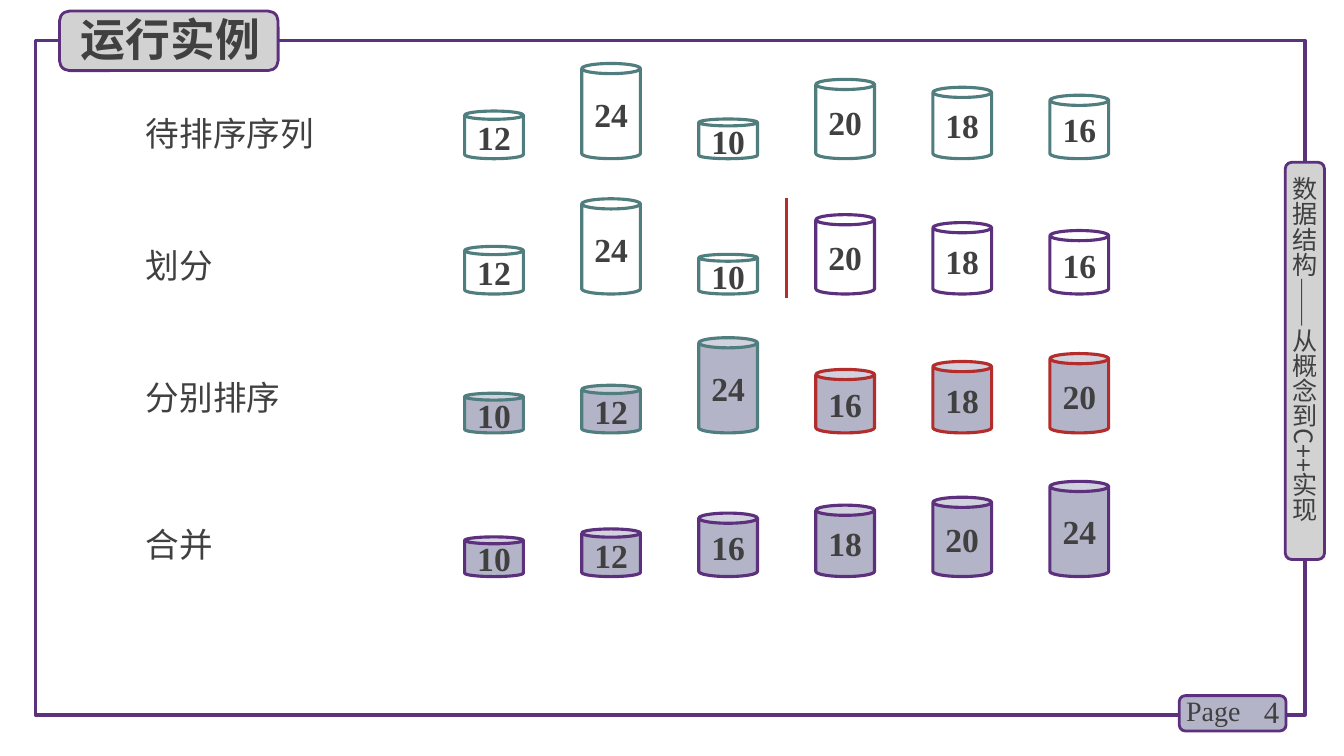
from dataclasses import dataclass

import pptx
import pptx.dml.color
import pptx.enum.shapes
import pptx.enum.text
import pptx.oxml.ns
import pptx.shapes.autoshape
import pptx.slide
import pptx.text.text
import pptx.util
from lxml import etree
from pptx.util import Cm

SHAPE = pptx.enum.shapes.MSO_SHAPE
ALIGN = pptx.enum.text.PP_ALIGN
ANCHOR = pptx.enum.text.MSO_ANCHOR


@dataclass(frozen=True)
class Theme:
    text: str = "404040"
    frame: str = "5A327D"
    purple: str = "5C307D"
    teal: str = "507D7D"
    red: str = "B42D2D"
    gray: str = "D2D2D2"
    lavender: str = "B4B4C8"
    chinese: str = "Noto Sans CJK SC"
    latin: str = "Times New Roman"
    title_size: int = 32
    body_size: int = 24
    number_size: int = 22
    page_size: int = 20
    side_size: int = 18
    line_width: float = 2.25
    badge_line_width: float = 2


THEME = Theme()


@dataclass(frozen=True)
class Box:
    """Position and size in centimetres."""
    left: float
    top: float
    width: float
    height: float

    def lengths(self) -> tuple[int, int, int, int]:
        return Cm(self.left), Cm(self.top), Cm(self.width), Cm(self.height)


@dataclass(frozen=True)
class SortStage:
    label: str
    label_top: float
    base: float
    values: tuple[int, ...]
    left_half: str
    right_half: str
    fill: str | None = None


STAGES = (
    SortStage("待排序序列", 2.72, 4.0, (12, 24, 10, 20, 18, 16), THEME.teal, THEME.teal),
    SortStage("划分", 6.05, 7.41, (12, 24, 10, 20, 18, 16), THEME.teal, THEME.purple),
    SortStage("分别排序", 9.37, 10.91, (10, 12, 24, 16, 18, 20), THEME.teal, THEME.red,
              THEME.lavender),
    SortStage("合并", 13.08, 14.53, (10, 12, 16, 18, 20, 24), THEME.purple, THEME.purple,
              THEME.lavender),
)

LABEL_LEFT, LABEL_WIDTH, LABEL_HEIGHT = 3.43, 5.16, 1.27
FIRST_CAN, CAN_PITCH, CAN_WIDTH = 11.71, 2.95, 1.48
CM_PER_UNIT = 0.1
HALF = 3


def rgb(color: str) -> pptx.dml.color.RGBColor:
    return pptx.dml.color.RGBColor.from_string(color)


def write(frame: pptx.text.text.TextFrame, text: str, size: int, font_name: str,
          bold: bool = False, align: ALIGN = ALIGN.LEFT,
          anchor: ANCHOR = ANCHOR.TOP, wrap: bool = True) -> None:
    frame.text = text
    frame.word_wrap = wrap
    frame.vertical_anchor = anchor
    paragraph = frame.paragraphs[0]
    paragraph.alignment = align
    font = paragraph.runs[0].font
    font.name, font.size, font.bold = font_name, pptx.util.Pt(size), bold
    font.color.rgb = rgb(THEME.text)
    east_asian = etree.SubElement(font._element, pptx.oxml.ns.qn("a:ea"))
    east_asian.set("typeface", font_name)


def add_outlined(slide: pptx.slide.Slide, kind: SHAPE, box: Box, line: str,
                 fill: str | None = None,
                 line_width: float = THEME.line_width) -> pptx.shapes.autoshape.Shape:
    shape = slide.shapes.add_shape(kind, *box.lengths())
    shape.shadow.inherit = False
    shape.line.color.rgb = rgb(line)
    shape.line.width = pptx.util.Pt(line_width)
    if fill is None:
        shape.fill.background()
    else:
        shape.fill.solid()
        shape.fill.fore_color.rgb = rgb(fill)
    return shape


def add_badge(slide: pptx.slide.Slide, box: Box, fill: str) -> None:
    add_outlined(slide, SHAPE.ROUNDED_RECTANGLE, box, THEME.purple, fill,
                 THEME.badge_line_width)


def add_text(slide: pptx.slide.Slide, box: Box, text: str, size: int, font_name: str,
             align: ALIGN = ALIGN.LEFT,
             anchor: ANCHOR = ANCHOR.TOP) -> pptx.text.text.TextFrame:
    frame = slide.shapes.add_textbox(*box.lengths()).text_frame
    write(frame, text, size, font_name, align=align, anchor=anchor)
    return frame


def add_page_furniture(slide: pptx.slide.Slide) -> None:
    add_outlined(slide, SHAPE.RECTANGLE, Box(0.89, 1.02, 32.0, 17.0), THEME.frame)

    add_badge(slide, Box(29.72, 17.53, 2.69, 0.89), THEME.lavender)
    add_text(slide, Box(30.99, 17.42, 1.5, 1.02), "4", THEME.number_size, THEME.latin,
             ALIGN.RIGHT, ANCHOR.MIDDLE)
    add_text(slide, Box(29.64, 17.35, 1.98, 1.12), "Page", THEME.page_size, THEME.latin)

    add_badge(slide, Box(32.39, 4.09, 0.99, 10.01), THEME.gray)
    course = add_text(slide, Box(32.49, 4.45, 0.76, 9.6), "数据结构——从概念到C++实现",
                      THEME.side_size, THEME.chinese)
    course.margin_left = course.margin_right = course.margin_top = course.margin_bottom = 0
    course._txBody.bodyPr.set("vert", "eaVert")


def add_title(slide: pptx.slide.Slide) -> None:
    add_badge(slide, Box(1.5, 0.28, 5.51, 1.5), THEME.gray)
    title = slide.shapes.title
    title.left, title.top, title.width, title.height = Box(1.78, 0.18, 5.33, 1.63).lengths()
    write(title.text_frame, "运行实例", THEME.title_size, THEME.chinese, bold=True)
    # The title must lie in front of its badge.
    slide.shapes._spTree.append(title._element)


def add_stage(slide: pptx.slide.Slide, stage: SortStage) -> None:
    add_text(slide, Box(LABEL_LEFT, stage.label_top, LABEL_WIDTH, LABEL_HEIGHT),
             stage.label, THEME.body_size, THEME.chinese)
    for column, value in enumerate(stage.values):
        height = value * CM_PER_UNIT
        box = Box(FIRST_CAN + column * CAN_PITCH, stage.base - height, CAN_WIDTH, height)
        line = stage.left_half if column < HALF else stage.right_half
        can = add_outlined(slide, SHAPE.CAN, box, line, stage.fill)
        can.adjustments[0] = 0.173
        write(can.text_frame, str(value), THEME.body_size, THEME.latin, bold=True,
              align=ALIGN.CENTER, anchor=ANCHOR.MIDDLE, wrap=False)


def add_divider(slide: pptx.slide.Slide) -> None:
    divider = slide.shapes.add_connector(pptx.enum.shapes.MSO_CONNECTOR.STRAIGHT,
                                         Cm(19.81), Cm(5.0), Cm(19.81), Cm(7.5))
    divider.line.color.rgb = rgb(THEME.red)
    divider.line.width = pptx.util.Pt(THEME.line_width)
    etree.SubElement(divider._element.spPr, pptx.oxml.ns.qn("a:effectLst"))


def main() -> None:
    deck = pptx.Presentation()
    deck.slide_width, deck.slide_height = Cm(33.87), Cm(19.05)
    slide = deck.slides.add_slide(deck.slide_layouts.get_by_name("Title Only"))
    add_page_furniture(slide)
    add_title(slide)
    for stage in STAGES:
        add_stage(slide, stage)
    add_divider(slide)
    deck.save("out.pptx")


if __name__ == "__main__":
    main()
